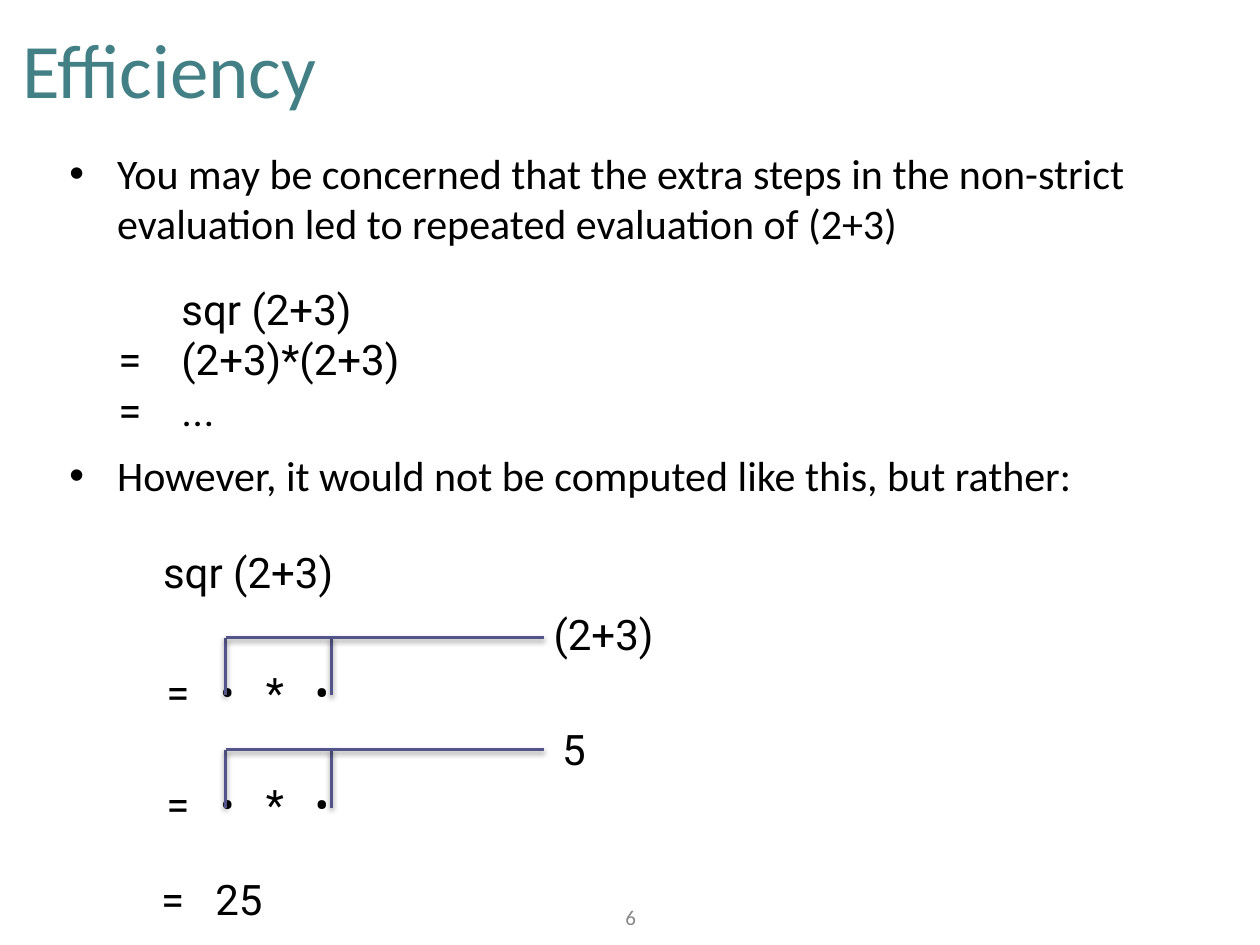
from pptx import Presentation
from pptx.dml.color import RGBColor
from pptx.enum.shapes import MSO_CONNECTOR as Link
from pptx.enum.text import MSO_ANCHOR as Anchor, PP_ALIGN as Align
from pptx.oxml import parse_xml
from pptx.oxml.ns import nsdecls
from pptx.util import Inches, Pt
from lxml.etree import SubElement

TEAL = RGBColor(0x43, 0x80, 0x86)
BLACK = RGBColor(0, 0, 0)
GRAY = RGBColor(0x88, 0x88, 0x88)
INDIGO = RGBColor(0x53, 0x54, 0x8A)

SHADOW = (
    f'<a:effectLst {nsdecls("a")}>'
    '<a:outerShdw blurRad="38100" dist="22860" dir="5400000" rotWithShape="0">'
    '<a:srgbClr val="000000"><a:alpha val="35000"/></a:srgbClr>'
    '</a:outerShdw></a:effectLst>'
)


def add_tag(root, name, **attrs):
    tag = "{http://schemas.openxmlformats.org/drawingml/2006/main}" + name
    return SubElement(root, tag, attrs)


def write(par, text, size=24, font="Roboto", color=BLACK, align=Align.LEFT,
          bullet=False, before=0, tabs=()):
    props = par._p.get_or_add_pPr()
    if bullet:
        props.set("marL", str(Inches(0.38)))
        props.set("indent", str(Inches(-0.38)))
        add_tag(props, "buFont", typeface="Arial")
        add_tag(props, "buChar", char="•")
    if tabs:
        stops = add_tag(props, "tabLst")
        for stop in tabs:
            add_tag(stops, "tab", pos=str(Inches(stop)), algn="l")
    par.alignment = align
    if before:
        par.space_before = Pt(before)
    run = par.add_run()
    run.text = text
    run.font.size = Pt(size)
    run.font.name = font
    run.font.color.rgb = color


class Deck:
    def __init__(self):
        self.show = Presentation()
        self.show.slide_width = Inches(10)
        self.show.slide_height = Inches(7.5)
        self.slide = self.show.slides.add_slide(self.show.slide_layouts[6])

    def box(self, left, top, width, height, wrap=True, anchor=Anchor.TOP, inset=0.05):
        shape = self.slide.shapes.add_textbox(
            Inches(left), Inches(top), Inches(width), Inches(height))
        frame = shape.text_frame
        frame.word_wrap = wrap
        frame.vertical_anchor = anchor
        frame.margin_left = Inches(inset)
        frame.margin_right = frame.margin_top = frame.margin_bottom = Inches(0.05)
        return frame

    def text(self, left, top, width, height, lines, wrap=True,
             anchor=Anchor.TOP, inset=0.05, **style):
        frame = self.box(left, top, width, height, wrap, anchor, inset)
        for n, line in enumerate(lines):
            par = frame.add_paragraph() if n else frame.paragraphs[0]
            write(par, line, **style)

    def points(self, left, top, width, height, first, second, gap):
        frame = self.box(left, top, width, height)
        write(frame.paragraphs[0], first, font="Calibri", bullet=True)
        write(frame.add_paragraph(), second, font="Calibri", bullet=True, before=gap)

    def line(self, x1, y1, x2, y2):
        link = self.slide.shapes.add_connector(
            Link.STRAIGHT, Inches(x1), Inches(y1), Inches(x2), Inches(y2))
        link.line.color.rgb = INDIGO
        link.line.width = Pt(2)
        link._element.spPr.append(parse_xml(SHADOW))

    def graph(self, top):
        self.text(1.17, top + 0.18, 1.6, 0.5, ["=\t•\t*\t•"],
                  inset=0.15, tabs=(0.43, 0.79, 1.18))
        for x in (1.79, 2.63):
            self.line(x, top + 0.46, x, top)
        self.line(1.79, top, 4.32, top)


def main():
    deck = Deck()
    deck.text(0.13, 0.1, 9.74, 0.87, ["Efficiency"], anchor=Anchor.MIDDLE,
              size=44, font="Calibri", color=TEAL)
    deck.points(
        0.5, 1.12, 9, 6.38,
        "You may be concerned that the extra steps in the non-strict "
        "evaluation led to repeated evaluation of (2+3)",
        "However, it would not be computed like this, but rather:", gap=115)
    deck.text(4.86, 7.13, 0.29, 0.29, ["6"], wrap=False, anchor=Anchor.MIDDLE,
              size=12, font="Calibri", color=GRAY, align=Align.CENTER)
    deck.text(0.89, 2.2, 3.16, 1.31,
              ["\tsqr (2+3)", "=\t(2+3)*(2+3)", "=\t..."], tabs=(0.5,))
    deck.text(1.17, 4.29, 1.6, 0.5, ["sqr (2+3)"], align=Align.CENTER)
    deck.text(4.18, 4.78, 1.22, 0.5, ["(2+3)"], align=Align.CENTER)
    deck.graph(5.06)
    deck.graph(5.95)
    deck.text(4.32, 5.69, 0.47, 0.5, ["5"], align=Align.CENTER)
    deck.text(1.17, 6.88, 1.03, 0.5, ["=\t25"], inset=0.11, tabs=(0.43,))
    deck.show.save("out.pptx")


if __name__ == "__main__":
    main()
